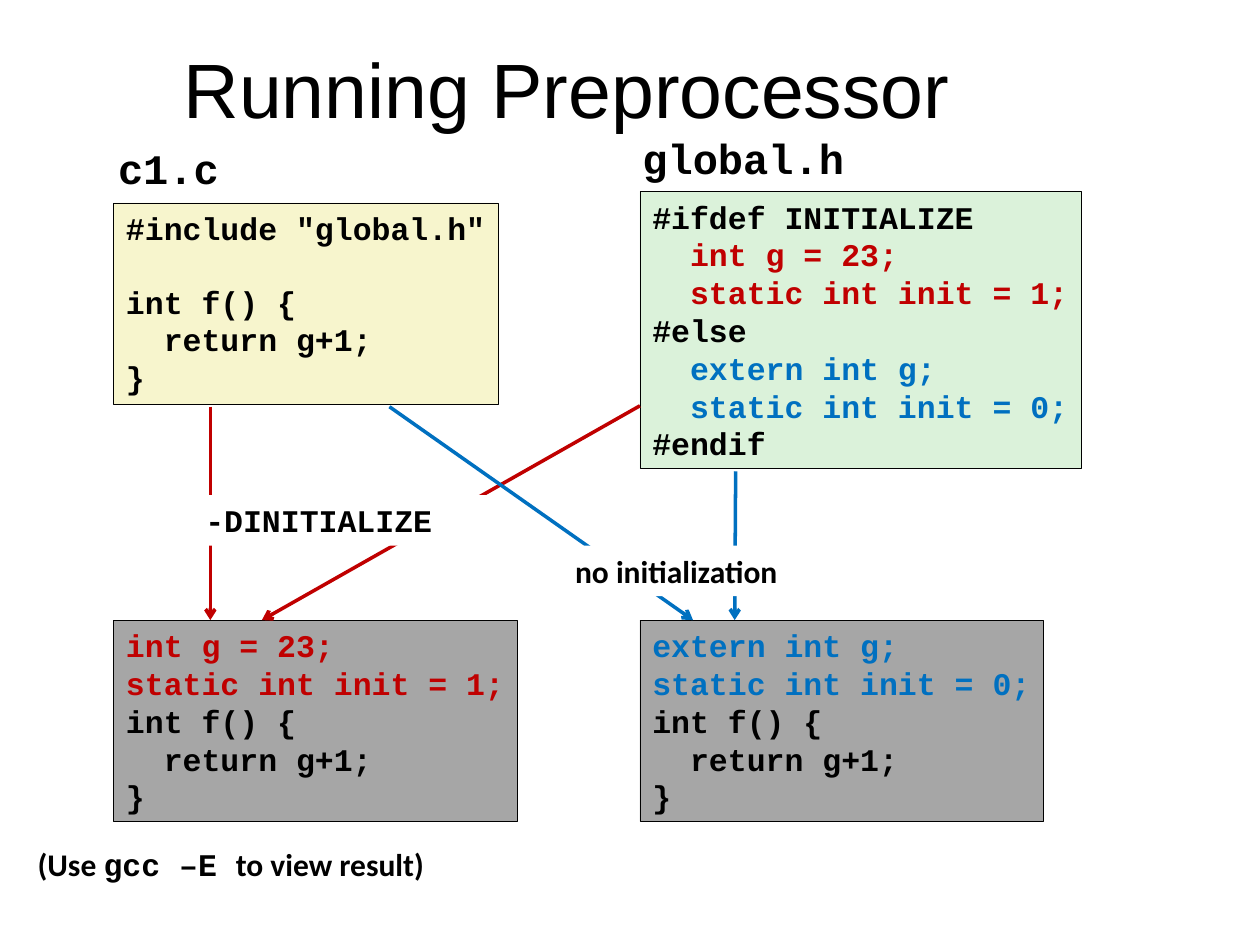
from pptx import Presentation
from pptx.dml.color import RGBColor
from pptx.enum.shapes import MSO_CONNECTOR, MSO_SHAPE
from pptx.enum.text import MSO_ANCHOR, MSO_AUTO_SIZE, PP_ALIGN
from pptx.oxml import parse_xml
from pptx.oxml.ns import nsdecls
from pptx.util import Cm, Pt

RECT = MSO_SHAPE.RECTANGLE
STRAIGHT = MSO_CONNECTOR.STRAIGHT
LEFT, CENTER = PP_ALIGN.LEFT, PP_ALIGN.CENTER
TOP, MIDDLE = MSO_ANCHOR.TOP, MSO_ANCHOR.MIDDLE
GROW, FIXED = MSO_AUTO_SIZE.SHAPE_TO_FIT_TEXT, MSO_AUTO_SIZE.NONE

BLACK = RGBColor(0x00, 0x00, 0x00)
WHITE = RGBColor(0xFF, 0xFF, 0xFF)
RED = RGBColor(0xC0, 0x00, 0x00)
BLUE = RGBColor(0x00, 0x70, 0xC0)
CREAM = RGBColor(0xF7, 0xF5, 0xCD)
GREEN = RGBColor(0xDB, 0xF2, 0xDA)
GRAY = RGBColor(0xA6, 0xA6, 0xA6)

MONO, SANS, HEAD = "Courier New", "Calibri", "Arial"
COL_1, COL_2, LOW = 2.29, 12.9, 12.5
BODY = ["int f() {", "  return g+1;", "}"]


def write(shape, lines, font=MONO, size=18, bold=True, align=LEFT,
          anchor=TOP, wrap=True, fit=GROW):
    """Fill a shape with lines; a line is a string or a list of
    (text, color, font) runs."""
    frame = shape.text_frame
    frame.word_wrap = wrap
    frame.auto_size = fit
    frame.vertical_anchor = anchor
    for i, line in enumerate(lines):
        para = frame.add_paragraph() if i else frame.paragraphs[0]
        para.alignment = align
        runs = [(line, BLACK, font)] if isinstance(line, str) else line
        for text, color, face in runs:
            run = para.add_run()
            run.text = text
            run.font.name = face
            run.font.size = Pt(size)
            run.font.bold = bold
            run.font.color.rgb = color


def tint(color, *lines):
    return [[(line, color, MONO)] for line in lines]


def add_box(slide, x, y, w, h, lines, fill=None, edge=None, **style):
    box = slide.shapes.add_shape(RECT, Cm(x), Cm(y), Cm(w), Cm(h))
    box.shadow.inherit = False
    if fill is None:
        box.fill.background()
    else:
        box.fill.solid()
        box.fill.fore_color.rgb = fill
    if edge is None:
        box.line.fill.background()
    else:
        box.line.color.rgb = edge
        box.line.width = Pt(0.25)
    write(box, lines, **style)
    return box


def add_code(slide, x, y, w, h, fill, lines):
    return add_box(slide, x, y, w, h, lines, fill, BLACK, wrap=False)


def add_name(slide, x, y, w, name):
    add_box(slide, x, y, w, 1.27, [name], edge=WHITE, size=24, wrap=False)


def add_tag(slide, x, y, text, font):
    add_box(slide, x, y, 7.01, 1.02, [text], WHITE, font=font, align=CENTER)


def add_arrow(slide, x1, y1, x2, y2, color):
    arrow = slide.shapes.add_connector(
        STRAIGHT, Cm(x1), Cm(y1), Cm(x2), Cm(y2))
    arrow.line.color.rgb = color
    arrow.line.width = Pt(2)
    arrow.line._get_or_add_ln().append(
        parse_xml(f'<a:tailEnd {nsdecls("a")} type="arrow"/>'))
    arrow._element.spPr.append(
        parse_xml(f'<a:effectLst {nsdecls("a")}/>'))


def add_title(slide, text):
    title = slide.shapes.title
    title.left, title.top = Cm(0.89), Cm(0.71)
    title.width, title.height = Cm(21.08), Cm(2.11)
    write(title, [text], font=HEAD, size=44, bold=False, align=CENTER,
          anchor=MIDDLE, fit=FIXED)


def main():
    deck = Presentation()
    deck.slide_width, deck.slide_height = Cm(25.4), Cm(19.05)
    slide = deck.slides.add_slide(deck.slide_layouts[5])
    add_title(slide, "Running Preprocessor")

    set_red = ["int g = 23;", "static int init = 1;"]
    set_blue = ["extern int g;", "static int init = 0;"]

    source = add_code(slide, COL_1, 4.09, 7.75, 4.06, CREAM,
                      ['#include "global.h"', *BODY])
    source.text_frame.paragraphs[1].space_before = Pt(20.4)
    add_name(slide, 2.13, 2.74, 2.54, "c1.c")
    add_name(slide, 12.7, 2.54, 4.57, "global.h")
    add_code(slide, COL_2, 3.86, 8.89, 5.59, GREEN, [
        "#ifdef INITIALIZE",
        *tint(RED, *("  " + line for line in set_red)),
        "#else",
        *tint(BLUE, *("  " + line for line in set_blue)),
        "#endif"])
    for x, color, lines in [(COL_1, RED, set_red), (COL_2, BLUE, set_blue)]:
        add_code(slide, x, LOW, 8.13, 4.06, GRAY,
                 [*tint(color, *lines), *BODY])

    for x1, y1, x2, color in [(4.24, 8.2, 4.24, RED),
                              (COL_2, 8.18, 5.28, RED),
                              (7.85, 8.2, 13.97, BLUE),
                              (14.83, 9.5, 14.81, BLUE)]:
        add_arrow(slide, x1, y1, x2, LOW, color)

    add_tag(slide, 10.13, 11.0, "no initialization", SANS)
    note = slide.shapes.add_textbox(Cm(0.51), Cm(16.92), Cm(24.51), Cm(1.02))
    write(note, [[("(Use ", BLACK, SANS), ("gcc –E ", BLACK, MONO),
                  ("to view result)", BLACK, SANS)]])
    add_tag(slide, 2.92, 9.98, "-DINITIALIZE", MONO)
    deck.save("out.pptx")


if __name__ == "__main__":
    main()
